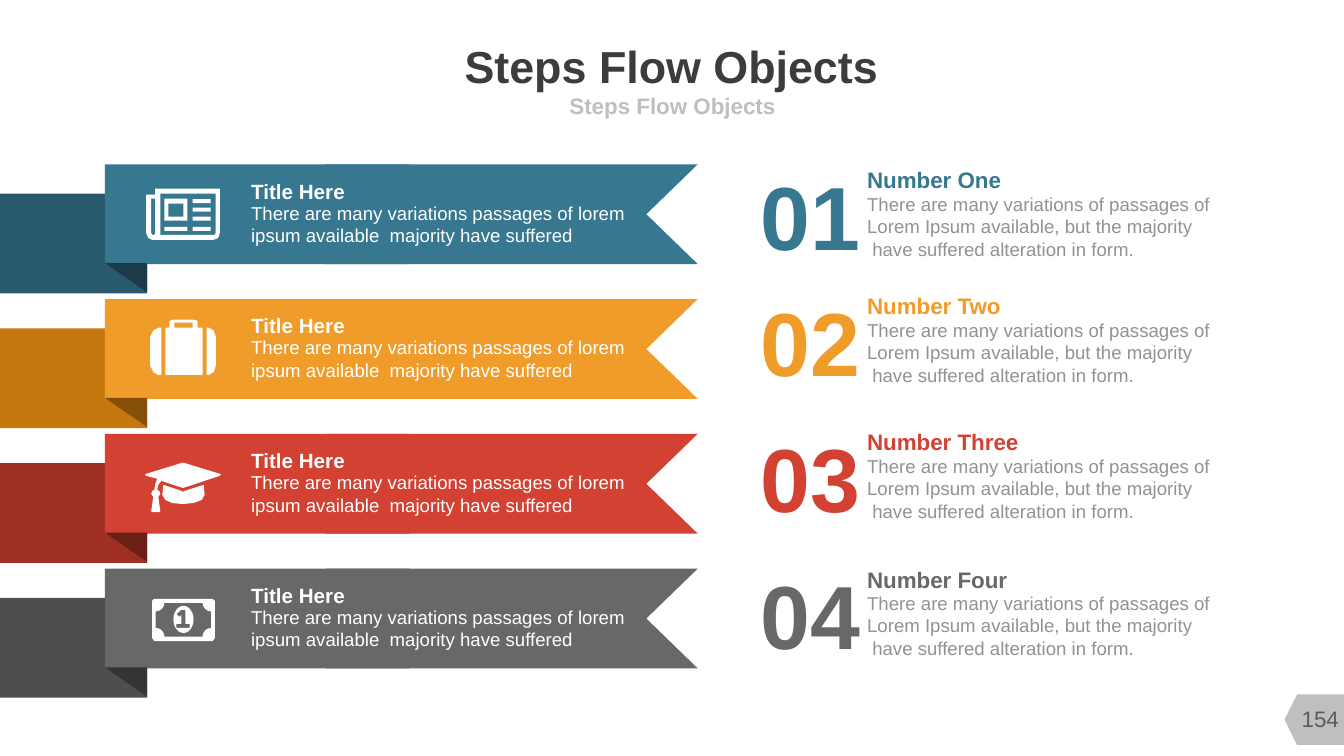
from math import cos, pi, sin

from pptx import Presentation
from pptx.dml.color import RGBColor
from pptx.enum.shapes import MSO_SHAPE
from pptx.enum.text import MSO_ANCHOR, PP_ALIGN
from pptx.util import Inches, Pt

COLORS = {
    "white": "FFFFFF", "title": "3C3C3C", "subtitle": "BFBFBF",
    "body": "929292", "page": "5C5C5C",
}
STEPS = [
    ("Number One", 1.65, "377790", "29596C", "1C3B48"),
    ("Number Two", 2.9, "F09C2A", "C6780E", "845009"),
    ("Number Three", 4.25, "D24132", "A02F23", "6B1F17"),
    ("Number Four", 5.61, "686868", "4E4E4E", "343434"),
]
RIBBON_TOP, RIBBON_PITCH, RIBBON_HEIGHT = 1.63, 1.337, 0.99
RIBBON_LEFT, FOLD_RIGHT, FOLD_HEIGHT = 1.04, 1.46, 0.29
ICON_UNIT = Inches(0.01)

presentation = Presentation()
presentation.slide_width = Inches(13.33)
presentation.slide_height = Inches(7.5)
slide = presentation.slides.add_slide(presentation.slide_layouts[5])


def add_block(kind, left, top, width, height, color, rotation=180):
    shape = slide.shapes.add_shape(
        kind, Inches(left), Inches(top), Inches(width), Inches(height))
    shape.rotation = rotation
    shape.shadow.inherit = False
    shape.fill.solid()
    shape.fill.fore_color.rgb = RGBColor.from_string(color)
    shape.line.fill.background()
    return shape


def write_text(shape, box, lines, size, color, bold=False, wrap=False,
               align=PP_ALIGN.LEFT, anchor=MSO_ANCHOR.TOP):
    shape.left, shape.top, shape.width, shape.height = map(Inches, box)
    frame = shape.text_frame
    frame.margin_left = frame.margin_right = frame.margin_top = frame.margin_bottom = 0
    frame.word_wrap = wrap
    frame.vertical_anchor = anchor
    paragraph = frame.paragraphs[0]
    paragraph.alignment = align
    for index, line in enumerate(lines):
        if index:
            paragraph.add_line_break()
        paragraph.add_run().text = line
    font = paragraph.font
    font.name, font.size, font.bold = "Arial", Pt(size), bold
    font.color.rgb = RGBColor.from_string(color)


centered = {"align": PP_ALIGN.CENTER, "anchor": MSO_ANCHOR.MIDDLE}
write_text(slide.shapes.title, (2.55, 0.39, 8.22, 0.52), ["Steps Flow Objects"],
           32, COLORS["title"], bold=True, **centered)
write_text(slide.shapes.add_textbox(0, 0, 0, 0), (3.67, 0.9, 6, 0.29),
           ["Steps Flow Objects"], 16, COLORS["subtitle"], bold=True, **centered)

add_block(MSO_SHAPE.FLOWCHART_OFFPAGE_CONNECTOR, 12.8, 6.83, 0.5, 0.62,
          COLORS["subtitle"], rotation=90)
write_text(slide.shapes.add_textbox(0, 0, 0, 0), (12.76, 6.93, 0.67, 0.4),
           ["154"], 16, COLORS["page"], **centered)

for index, (heading, heading_top, main, dark, fold) in enumerate(STEPS):
    top = RIBBON_TOP + index * RIBBON_PITCH
    add_block(MSO_SHAPE.RECTANGLE, 0, top + FOLD_HEIGHT, FOLD_RIGHT, RIBBON_HEIGHT, dark)
    arrow = add_block(MSO_SHAPE.NOTCHED_RIGHT_ARROW, 2.72, top, 4.2, RIBBON_HEIGHT, main)
    arrow.adjustments[0], arrow.adjustments[1] = 1, 0.515
    add_block(MSO_SHAPE.RECTANGLE, RIBBON_LEFT, top, 3.02, RIBBON_HEIGHT, main)
    add_block(MSO_SHAPE.RIGHT_TRIANGLE, RIBBON_LEFT, top + RIBBON_HEIGHT - 0.01,
              FOLD_RIGHT - RIBBON_LEFT, FOLD_HEIGHT, fold)

    texts = [
        ((2.49, top + 0.14, 1.5, 0.25), ["Title Here"], 14.7, COLORS["white"],
         {"bold": True, "wrap": True}),
        ((2.49, top + 0.37, 3.77, 0.45),
         ["There are many variations passages of lorem ipsum available  majority have suffered"],
         13.3, COLORS["white"], {"wrap": True}),
        ((8.6, heading_top, 2.5, 0.27), [heading], 16, main,
         {"bold": True, "wrap": True, "anchor": MSO_ANCHOR.MIDDLE}),
        ((8.6, heading_top + 0.26, 3.78, 0.67),
         ["There are many variations of passages of Lorem Ipsum available, but the majority",
          " have suffered alteration in form."],
         13.3, COLORS["body"], {"wrap": True, "anchor": MSO_ANCHOR.MIDDLE}),
        ((7.54, heading_top - 0.07, 1, 1.08), [f"{index + 1:02}"], 64, main,
         {"bold": True, "align": PP_ALIGN.CENTER, "anchor": MSO_ANCHOR.BOTTOM}),
    ]
    for box, lines, size, color, options in texts:
        write_text(slide.shapes.add_textbox(0, 0, 0, 0), box, lines, size, color, **options)

news_boxes = [(163, 197, 186, 219), (167, 202, 182, 215), (163, 225, 186, 229)]
news_boxes += [(191, y, 209, y + 4) for y in (197.5, 206, 215, 225)]
newspaper = [
    [(218, 231), (217, 235), (215, 237), (211, 238), (151, 238), (147, 236),
     (145, 231), (145, 193), (154, 193), (154, 187), (218, 187)],
    [(154, 197), (150, 197), (150, 231), (151, 233), (153, 233), (154, 231)],
    [(214, 192), (159, 192), (159, 233), (211, 233), (213, 233), (214, 231)],
] + [[(l, t), (r, t), (r, b), (l, b)] for l, t, r, b in news_boxes]

suitcase = [
    [(160, 372), (157, 372), (152, 369), (149, 363), (149, 334), (152, 328),
     (157, 325), (160, 325)],
    [(201, 372), (164, 372), (164, 325), (168, 325), (168, 319), (169, 318),
     (172, 317), (192, 317), (195, 318), (196, 319), (196, 325), (201, 325)],
    [(191, 325), (191, 320), (173, 320), (173, 325)],
    [(214, 363), (212, 369), (207, 372), (205, 372), (205, 325), (207, 325),
     (212, 328), (214, 334)],
]
graduation_cap = [
    [(218, 472), (182, 484), (181, 484), (160, 477), (157, 481), (156, 486),
     (158, 487), (159, 490), (157, 493), (159, 507), (158, 508), (151, 508),
     (150, 507), (152, 493), (150, 490), (151, 487), (153, 486), (154, 480),
     (156, 475), (145, 472), (144, 471), (145, 470), (181, 459), (182, 459),
     (218, 470), (219, 471)],
    [(203, 491), (200, 496), (192, 499), (181, 500), (171, 499), (164, 496),
     (161, 491), (162, 481), (180, 487), (181, 488), (183, 487), (202, 481)],
]
arc = [(8.5 * cos(pi * n / 12), 8.5 * sin(pi * n / 12)) for n in range(7)]
banknote = [
    [(213, 633), (211, 636), (153, 636), (151, 633), (151, 596), (153, 594),
     (211, 594), (213, 596)],
    [(154.5 + x, 598 + y) for x, y in arc] + [(154.5 + x, 631.5 - y) for x, y in arc[::-1]]
    + [(209.5 - x, 631.5 - y) for x, y in arc] + [(209.5 - x, 598 + y) for x, y in arc[::-1]],
    [(182 + 10 * cos(pi * n / 12), 614.5 + 13.5 * sin(pi * n / 12)) for n in range(24)],
    [(188, 623), (188, 619), (184, 619), (184, 605), (180, 605), (175, 609),
     (178, 612), (180, 610), (180, 619), (175, 619), (175, 623)],
]
for icon in (newspaper, suitcase, graduation_cap, banknote):
    builder = slide.shapes.build_freeform(
        round(icon[0][0][0] * 10), round(icon[0][0][1] * 10), scale=ICON_UNIT / 10)
    for number, contour in enumerate(icon):
        points = [(round(x * 10), round(y * 10)) for x, y in contour]
        if number:
            builder.move_to(*points[0])
        builder.add_line_segments(points[1:], close=True)
    shape = builder.convert_to_shape()
    shape.shadow.inherit = False
    shape.fill.solid()
    shape.fill.fore_color.rgb = RGBColor.from_string(COLORS["white"])
    shape.line.fill.background()

presentation.save("out.pptx")
